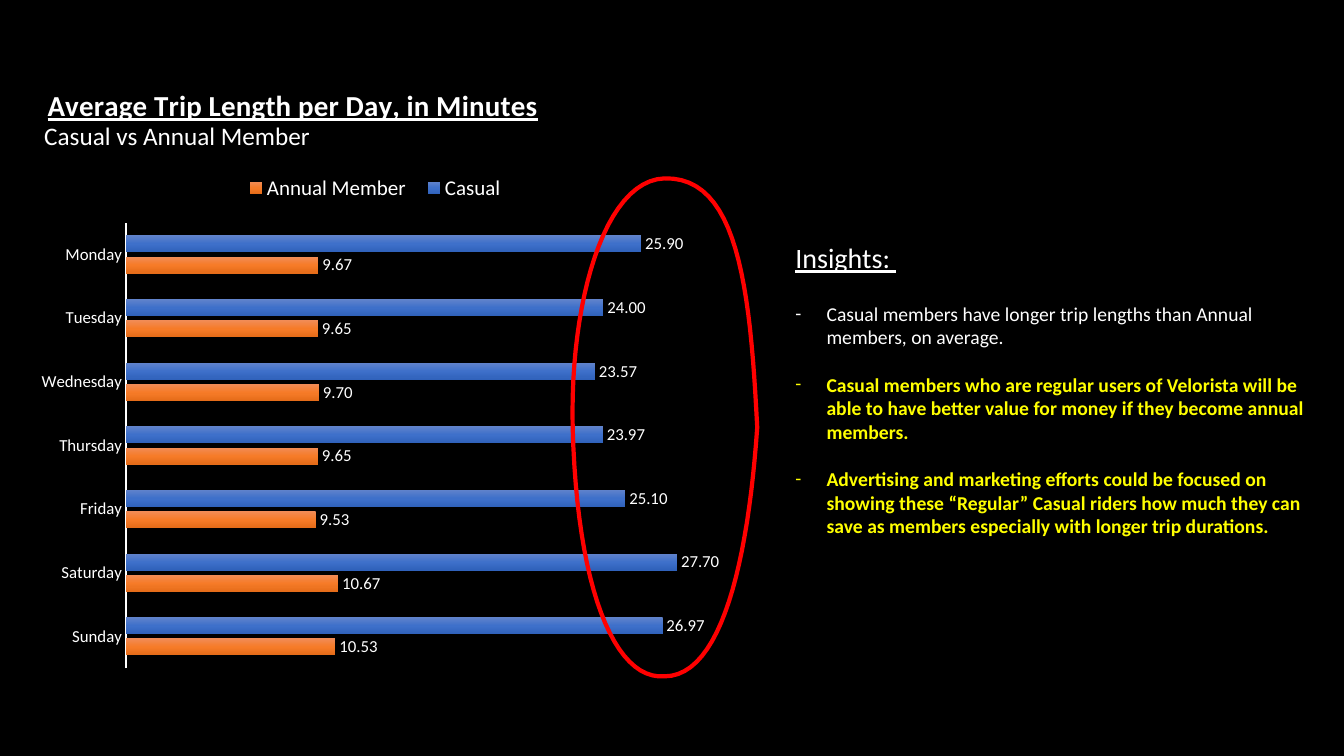
from pptx import Presentation
from pptx.chart.data import CategoryChartData
from pptx.dml.color import RGBColor
from pptx.enum.chart import XL_CHART_TYPE, XL_LABEL_POSITION, XL_LEGEND_POSITION, XL_TICK_MARK
from pptx.oxml import parse_xml
from pptx.oxml.ns import nsdecls
from pptx.util import Inches, Pt

BLACK = RGBColor(0x00, 0x00, 0x00)
WHITE = RGBColor(0xFF, 0xFF, 0xFF)
YELLOW = RGBColor(0xFF, 0xFF, 0x00)
RED = RGBColor(0xFF, 0x00, 0x00)
BLUES = [RGBColor(0x61, 0x83, 0xCB), RGBColor(0x3E, 0x70, 0xCA), RGBColor(0x30, 0x62, 0xBB)]
ORANGES = [RGBColor(0xF1, 0x8C, 0x57), RGBColor(0xF6, 0x7B, 0x28), RGBColor(0xE5, 0x6C, 0x19)]

# Content
TITLE = "Average Trip Length per Day, in Minutes"
SUBTITLE = "Casual vs Annual Member"
DAYS = ["Monday", "Tuesday", "Wednesday", "Thursday", "Friday", "Saturday", "Sunday"]
TRIPS = [
    ("Casual", [25.9, 24, 23.57, 23.97, 25.1, 27.7, 26.97], BLUES),
    ("Annual Member", [9.67, 9.65, 9.7, 9.65, 9.53, 10.67, 10.53], ORANGES),
]
# Text, font format, space before in points, bulleted
INSIGHTS = [
    ("Insights: ", {"size": Pt(20), "underline": True}, 0, False),
    ("Casual members have longer trip lengths than Annual members, on average.",
     {"size": Pt(14)}, 19.5, True),
    ("Casual members who are regular users of Velorista will be able to have better value "
     "for money if they become annual members.",
     {"size": Pt(14), "bold": True, "color": YELLOW}, 17, True),
    ("Advertising and marketing efforts could be focused on showing these “Regular” Casual "
     "riders how much they can save as members especially with longer trip durations.",
     {"size": Pt(14), "bold": True, "color": YELLOW}, 17, True),
]
# Start point, then cubic curves: two control points and an end point
LOOP_START = (5.68, 4.24)
LOOP_CURVES = [
    ((5.65, 3.01), (5.99, 1.79), (6.59, 1.77)),
    ((7.31, 1.75), (7.44, 2.83), (7.51, 4.24)),
    ((7.42, 5.55), (7.16, 6.71), (6.59, 6.71)),
    ((6.09, 6.75), (5.72, 5.82), (5.68, 4.24)),
]
CURVE_STEPS = 24
CHART_WIDTH, CHART_HEIGHT = 6.96, 6.09


def style(font, color=WHITE, **values):
    font.color.rgb = color
    for key, value in {"name": "Calibri", **values}.items():
        setattr(font, key, value)


def add_textbox(slide, left, top, width, height):
    frame = slide.shapes.add_textbox(*map(Inches, (left, top, width, height))).text_frame
    frame.word_wrap = True
    return frame


def add_dash(paragraph):
    properties = paragraph._p.get_or_add_pPr()
    properties.set("marL", str(Inches(0.31)))
    properties.set("indent", str(-Inches(0.31)))
    for bullet in ('buFont {} typeface="Calibri"', 'buChar {} char="-"'):
        properties.append(parse_xml(f"<a:{bullet.format(nsdecls('a'))}/>"))


def place(element, left, top, width=None, height=None, inner=False):
    """Give a chart part a manual layout, in inches from the chart's corner."""
    for old in element.findall("{*}layout"):
        element.remove(old)
    values = {"layoutTarget": "inner"} if inner else {}
    values.update(xMode="edge", yMode="edge", x=left / CHART_WIDTH, y=top / CHART_HEIGHT)
    if width:
        values.update(w=width / CHART_WIDTH, h=height / CHART_HEIGHT)
    parts = "".join(f'<c:{key} val="{value}"/>' for key, value in values.items())
    layout = parse_xml(f'<c:layout {nsdecls("c")}><c:manualLayout>{parts}'
                       '</c:manualLayout></c:layout>')
    # The layout follows the title text or legend position, and leads the plot area
    lead = element.find("{*}tx")
    if lead is None:
        lead = element.find("{*}legendPos")
    if lead is None:
        element.insert(0, layout)
    else:
        lead.addnext(layout)


def gradient_fill(bar_format, colors):
    bar_format.fill.gradient()
    stops = "".join(f'<a:gs pos="{i * 50000}"><a:srgbClr val="{color}"/></a:gs>'
                    for i, color in enumerate(colors))
    gradient = parse_xml(f'<a:gradFill {nsdecls("a")} rotWithShape="1"><a:gsLst>{stops}'
                         '</a:gsLst><a:lin ang="5400000" scaled="0"/></a:gradFill>')
    old = bar_format._element.find(".//{*}gradFill")
    old.getparent().replace(old, gradient)


def add_trip_chart(slide):
    data = CategoryChartData(number_format="0.00")
    data.categories = DAYS
    for name, minutes, _ in TRIPS:
        data.add_series(name, minutes)
    box = map(Inches, (0.26, 0.7, CHART_WIDTH, CHART_HEIGHT))
    chart = slide.shapes.add_chart(XL_CHART_TYPE.BAR_CLUSTERED, *box, data).chart
    style(chart.font, size=Pt(10))

    # Title, legend and plot area
    chart.has_title = True
    heading = chart.chart_title.text_frame.paragraphs[0].add_run()
    heading.text = TITLE
    style(heading.font, size=Pt(20.7), bold=True, underline=True)
    place(chart.chart_title._element, 0.16, 0.09)
    chart.has_legend = True
    chart.legend.position = XL_LEGEND_POSITION.TOP
    chart.legend.include_in_layout = False
    style(chart.legend.font, size=Pt(15))
    place(chart.legend._element, 2.07, 0.98, 2.78, 0.37)
    place(chart._chartSpace.chart.plotArea, 0.99, 1.51, 5.92, 4.42, inner=True)

    # Axes
    days = chart.category_axis
    days.reverse_order = True
    days.major_tick_mark = XL_TICK_MARK.NONE
    style(days.tick_labels.font, size=Pt(12))
    days.format.line.color.rgb = WHITE
    days.format.line.width = Pt(0.75)
    minutes_axis = chart.value_axis
    for key, value in {"minimum_scale": 0, "maximum_scale": 30,
                       "has_major_gridlines": False, "visible": False}.items():
        setattr(minutes_axis, key, value)

    # Bars
    plot = chart.plots[0]
    plot.gap_width, plot.overlap, plot.vary_by_categories = 150, -25, False
    for bars, (_, _, colors) in zip(plot.series, TRIPS):
        gradient_fill(bars.format, colors)
        labels = bars.data_labels
        for key, value in {"show_value": True, "number_format": "0.00",
                           "number_format_is_linked": False,
                           "position": XL_LABEL_POSITION.OUTSIDE_END}.items():
            setattr(labels, key, value)
        style(labels.font, size=Pt(12))


def add_insights(slide):
    frame = add_textbox(slide, 7.79, 2.34, 5.33, 3.6)
    for i, (text, font, gap, bulleted) in enumerate(INSIGHTS):
        paragraph = frame.add_paragraph() if i else frame.paragraphs[0]
        paragraph.space_before = Pt(gap)
        if bulleted:
            add_dash(paragraph)
        run = paragraph.add_run()
        run.text = text
        style(run.font, **font)


def add_loop(slide):
    points, start = [], LOOP_START
    for first, second, end in LOOP_CURVES:
        for step in range(1, CURVE_STEPS + 1):
            t = step / CURVE_STEPS
            weights = ((1 - t) ** 3, 3 * t * (1 - t) ** 2, 3 * t * t * (1 - t), t ** 3)
            corners = (start, first, second, end)
            points.append([Inches(sum(w * corner[axis] for w, corner in zip(weights, corners)))
                           for axis in (0, 1)])
        start = end
    builder = slide.shapes.build_freeform(*map(Inches, LOOP_START))
    builder.add_line_segments(points, close=True)
    loop = builder.convert_to_shape()
    loop.shadow.inherit = False
    loop.fill.background()
    loop.line.color.rgb = RED
    loop.line.width = Pt(3)


def main():
    deck = Presentation()
    deck.slide_width, deck.slide_height = Inches(13.33), Inches(7.5)
    slide = deck.slides.add_slide(deck.slide_layouts[6])
    slide.background.fill.solid()
    slide.background.fill.fore_color.rgb = BLACK

    add_trip_chart(slide)
    add_insights(slide)
    add_loop(slide)
    subtitle = add_textbox(slide, 0.34, 1.14, 3.28, 0.4).paragraphs[0].add_run()
    subtitle.text = SUBTITLE
    style(subtitle.font, size=Pt(18))
    deck.save("out.pptx")


if __name__ == "__main__":
    main()
